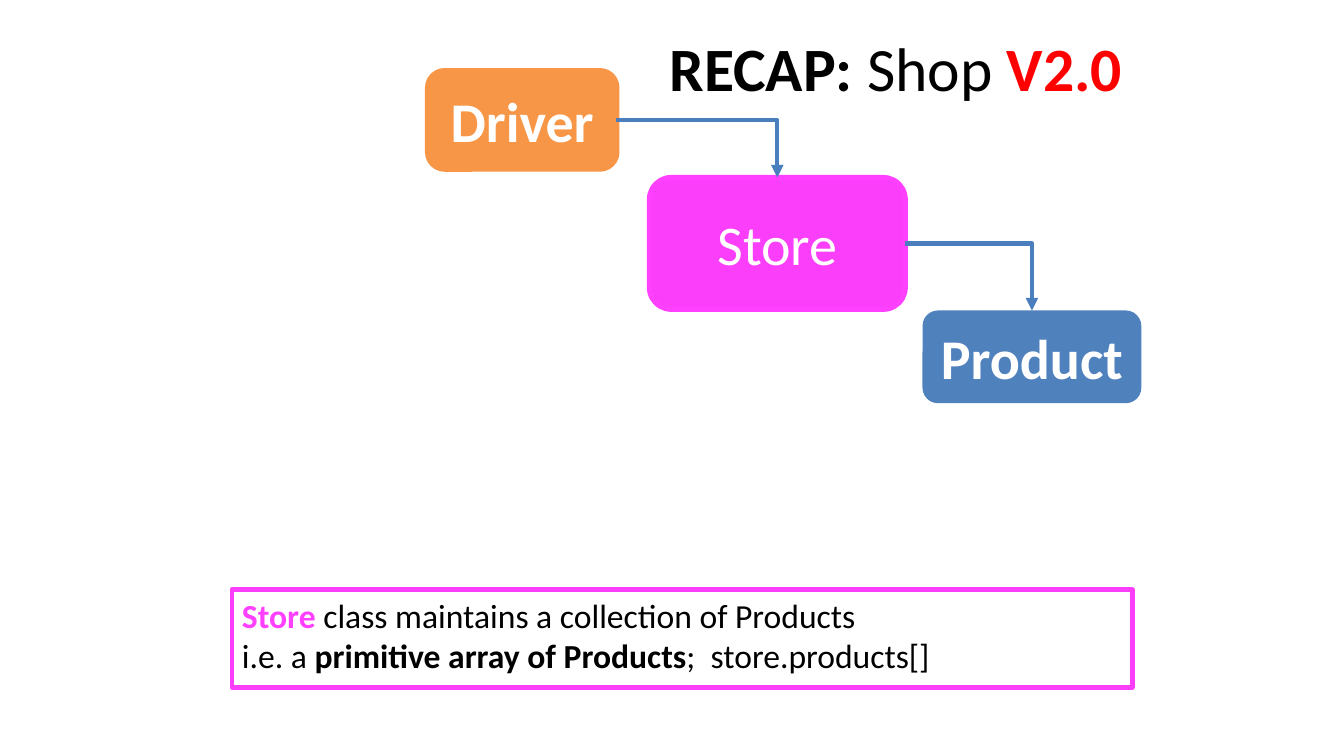
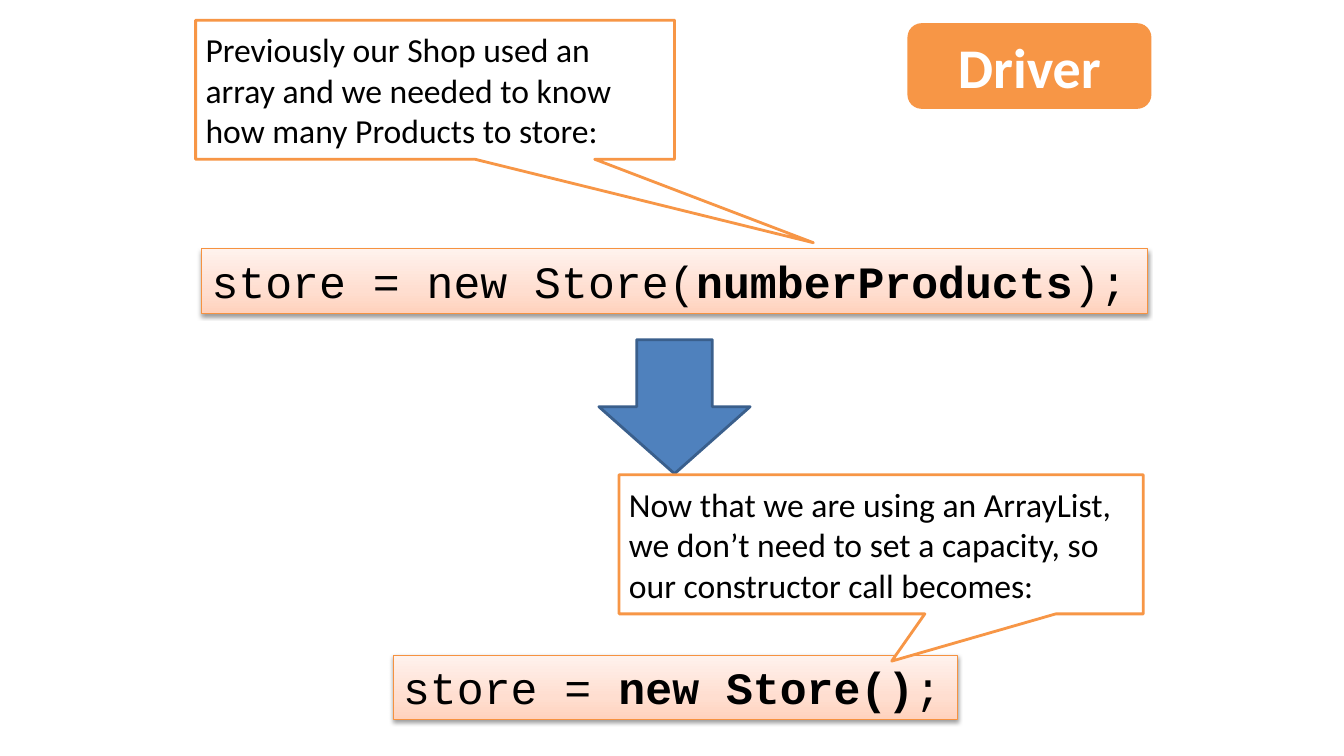
"""Two slides recapping the Shop classes and the change to an ArrayList."""
from lxml.etree import SubElement
from pptx import Presentation
from pptx.dml.color import RGBColor
from pptx.enum.shapes import MSO_CONNECTOR, MSO_SHAPE
from pptx.enum.text import MSO_ANCHOR, MSO_AUTO_SIZE, PP_ALIGN
from pptx.oxml import parse_xml
from pptx.oxml.ns import nsdecls, qn
from pptx.util import Inches, Pt

HUES = dict(black="000000", white="FFFFFF", red="FF0000", orange="F79646",
            pink="FA3EF9", rose="FF40FF", blue="4F81BD", navy="3A5F8C",
            wire="4B7EBC", rim="F69240")
WASH = [(0, "FFD2BD"), (35, "FFDED0"), (100, "FFF2ED")]
CELL = Inches(0.1)

TITLE = [[("RECAP:", dict(bold=True)), (" Shop ", {}),
          ("V2.0", dict(bold=True, hue="red"))]]
NOTE = [[("Store ", dict(bold=True, hue="rose")),
         ("class maintains a collection of Products\ni.e. a ", {}),
         ("primitive array of Products", dict(bold=True)),
         (";  store.products[]", {})]]
NODES = [
    ("Driver", (42.5, 7.1, 18.6, 9.6), "orange", dict(edge="orange", width=5), True),
    ("Product", (91.5, 30.8, 21.7, 9.2), "blue", {}, True),
    ("Store", (64.4, 17.6, 25.4, 13.1), "pink", dict(edge="rose", width=3.5), False),
]
LINKS = [("Store", "Product"), ("Driver", "Store")]
CODES = [
    ((20, 24.7, 93.8, 6.4), [[("store = new Store(", {}),
     ("numberProducts", dict(bold=True)), (");", {})]]),
    ((39, 65, 56, 6.4), [[("store = ", {}),
     ("new Store()", dict(bold=True)), (";", {})]]),
]
ARROW = (59.4, 33.7, 15, 13.3)
CALLS = [
    ((19.4, 2, 47.5, 13.8), (0.79, 1.1),
     ["Previously our Shop used an array and we needed to know",
      "how many Products to store:"]),
    ((61.4, 47.1, 52, 13.8), (0.02, 0.84),
     ["Now that we are using an ArrayList,\nwe don’t need to set a capacity, "
      "so our constructor call becomes:"]),
]
BADGE = (90, 2.3, 24.2, 8.5)


def grid(box):
    return [round(n * CELL) for n in box]


def rgb(hue):
    return RGBColor.from_string(HUES[hue])


def say(shape, paras, size=24, font="Calibri", hue="black", bold=False,
        align=PP_ALIGN.LEFT, anchor=MSO_ANCHOR.MIDDLE, wrap=True, fit=MSO_AUTO_SIZE.NONE):
    frame = shape.text_frame
    frame.word_wrap, frame.auto_size, frame.vertical_anchor = wrap, fit, anchor
    for i, runs in enumerate(paras):
        para = frame.add_paragraph() if i else frame.paragraphs[0]
        props = para._p.get_or_add_pPr()
        props.set("marL", "0")
        props.set("indent", "0")
        SubElement(props, qn("a:buNone"))
        para.alignment, para.space_before = align, Pt(0)
        for text, look in [(runs, {})] if isinstance(runs, str) else runs:
            for j, line in enumerate(text.split("\n")):
                if j:
                    para.add_line_break()
                run = para.add_run()
                run.text = line
                run.font.size, run.font.name = Pt(size), font
                run.font.bold = look.get("bold", bold)
                run.font.color.rgb = rgb(look.get("hue", hue))


def rule(line, hue, width):
    line.color.rgb, line.width = rgb(hue), Pt(width)


def draw(slide, kind, box, fill, edge=None, width=2):
    shape = slide.shapes.add_shape(kind, *grid(box))
    shape.shadow.inherit = False
    shape.fill.solid()
    shape.fill.fore_color.rgb = rgb(fill)
    if edge:
        rule(shape.line, edge, width)
    else:
        shape.line.fill.background()
    return shape


def node(slide, text, box, fill, line, bold):
    shape = draw(slide, MSO_SHAPE.ROUNDED_RECTANGLE, box, fill, **line)
    say(shape, [text], size=40, hue="white", bold=bold, align=PP_ALIGN.CENTER)
    return shape


def link(slide, start, end):
    wire = slide.shapes.add_connector(MSO_CONNECTOR.ELBOW, 0, 0, 0, 0)
    wire.begin_connect(start, 3)
    wire.end_connect(end, 0)
    rule(wire.line, "wire", 3)
    props = wire._element.spPr
    props.find(qn("a:prstGeom")).set("prst", "bentConnector2")
    SubElement(props.find(qn("a:ln")), qn("a:tailEnd"), type="triangle")
    SubElement(props, qn("a:effectLst"))


def code(slide, box, paras):
    shape = slide.shapes.add_textbox(*grid(box))
    say(shape, paras, size=32, font="Courier New", anchor=MSO_ANCHOR.TOP,
        wrap=False, fit=MSO_AUTO_SIZE.SHAPE_TO_FIT_TEXT)
    rule(shape.line, "rim", 0.75)
    stops = "".join(f'<a:gs pos="{at * 1000}"><a:srgbClr val="{hue}"/></a:gs>'
                    for at, hue in WASH)
    props = shape._element.spPr
    props.replace(props.find(qn("a:noFill")), parse_xml(
        f'<a:gradFill {nsdecls("a")} rotWithShape="1"><a:gsLst>{stops}</a:gsLst>'
        '<a:lin ang="16200000" scaled="0"/></a:gradFill>'))
    props.append(parse_xml(
        f'<a:effectLst {nsdecls("a")}><a:outerShdw blurRad="40000" dist="20000" '
        'dir="5400000" rotWithShape="0"><a:srgbClr val="000000">'
        '<a:alpha val="38000"/></a:srgbClr></a:outerShdw></a:effectLst>'))


def place(shape, box):
    shape.left, shape.top, shape.width, shape.height = grid(box)
    return shape


def recap(deck):
    slide = deck.slides.add_slide(deck.slide_layouts[1])
    title = place(slide.shapes.title, (22.3, 2.5, 90, 8.3))
    say(title, TITLE, size=44, align=PP_ALIGN.RIGHT)
    body = place(slide.placeholders[1], (23, 58.5, 89.3, 9.7))
    say(body, NOTE, anchor=MSO_ANCHOR.TOP)
    rule(body.line, "pink", 3.25)
    nodes = {item[0]: node(slide, *item) for item in NODES}
    for start, end in LINKS:
        link(slide, nodes[start], nodes[end])


def change(deck):
    slide = deck.slides.add_slide(deck.slide_layouts[6])
    for box, paras in CODES:
        code(slide, box, paras)
    draw(slide, MSO_SHAPE.DOWN_ARROW, ARROW, "blue", "navy")
    for box, tip, paras in CALLS:
        call = draw(slide, MSO_SHAPE.RECTANGULAR_CALLOUT, box, "white", "orange")
        call.adjustments[0], call.adjustments[1] = tip
        say(call, paras)
    node(slide, "Driver", BADGE, "orange", {}, True)


def main():
    deck = Presentation()
    deck.slide_width, deck.slide_height = Inches(13.33), Inches(7.5)
    recap(deck)
    change(deck)
    deck.save("out.pptx")


if __name__ == "__main__":
    main()
